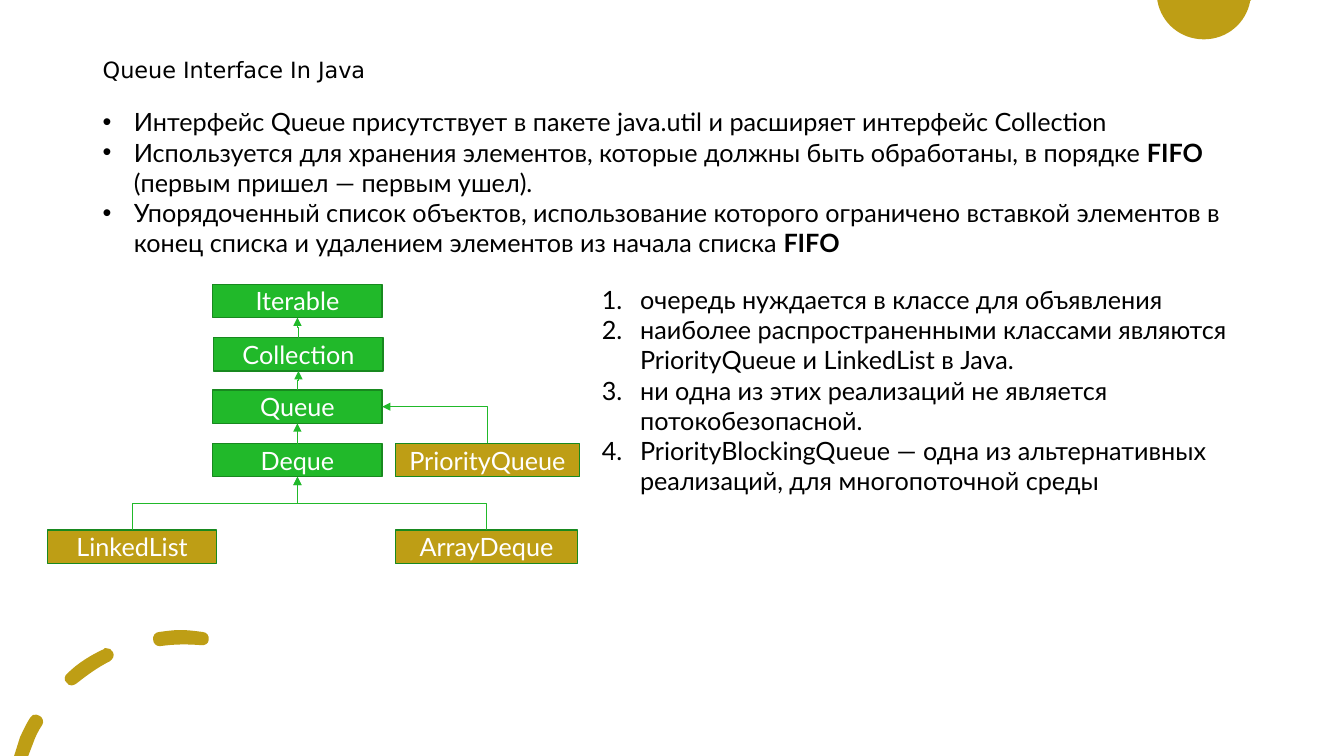
from dataclasses import dataclass

from lxml.etree import SubElement
from pptx import Presentation
from pptx.dml.color import RGBColor
from pptx.enum.shapes import MSO_CONNECTOR, MSO_SHAPE
from pptx.enum.text import MSO_ANCHOR, PP_ALIGN
from pptx.oxml.ns import qn
from pptx.util import Inches, Pt


@dataclass(frozen=True)
class Theme:
    interface: RGBColor = RGBColor.from_string("21B92A")
    border: RGBColor = RGBColor.from_string("18891F")
    accent: RGBColor = RGBColor.from_string("BE9E15")
    ink: RGBColor = RGBColor.from_string("000000")
    label: RGBColor = RGBColor.from_string("FFFFFF")
    title_font: str = "DejaVu Sans"
    body_font: str = "Lato"
    title_size: Pt = Pt(16)
    body_size: Pt = Pt(18)


theme = Theme()
presentation = Presentation()
presentation.slide_width = Inches(13.33)
presentation.slide_height = Inches(7.5)
slide = presentation.slides.add_slide(presentation.slide_layouts[6])


def add_ornament(contours):
    """Fill closed contours: pairs are line ends, sextuples are Bézier curves."""
    builder = None
    for (x, y), *segments in contours:
        if builder is None:
            builder = slide.shapes.build_freeform(Inches(x), Inches(y))
        else:
            builder.move_to(Inches(x), Inches(y))
        ends = [(Inches(segment[-2]), Inches(segment[-1])) for segment in segments]
        builder.add_line_segments(ends, close=True)
    ornament = builder.convert_to_shape()
    ornament.shadow.inherit = False
    ornament.fill.solid()
    ornament.fill.fore_color.rgb = theme.accent
    ornament.line.fill.background()
    # Turn the straight segments that carry control points into curves
    segments = [segment for contour in contours for segment in contour[1:]]
    for line, segment in zip(list(ornament._element.iter(qn("a:lnTo"))), segments):
        if len(segment) == 6:
            line.tag = qn("a:cubicBezTo")
            line.remove(line[0])
            for x, y in zip(segment[::2], segment[1::2]):
                SubElement(line, qn("a:pt"), x=str(Inches(x) - ornament.left),
                           y=str(Inches(y) - ornament.top))


def add_list(left, top, width, height, items, indent, bullet_tag, **bullet):
    """Add a list; each item is a sequence of (text, bold) runs."""
    frame = slide.shapes.add_textbox(
        Inches(left), Inches(top), Inches(width), Inches(height)).text_frame
    frame.word_wrap = True
    for index, item in enumerate(items):
        paragraph = frame.add_paragraph() if index else frame.paragraphs[0]
        properties = paragraph._p.get_or_add_pPr()
        properties.set("marL", str(Inches(indent)))
        properties.set("indent", str(-Inches(indent)))
        if bullet_tag == "a:buChar":
            SubElement(properties, qn("a:buFont"), typeface="Arial")
        SubElement(properties, qn(bullet_tag), **bullet)
        for text, bold in item:
            run = paragraph.add_run()
            run.text = text
            run.font.name = theme.body_font
            run.font.size = theme.body_size
            run.font.bold = bold
            run.font.color.rgb = theme.ink


# Corner ornaments
add_ornament([
    [(11.48, 0), (12.41, 0), (12.4, 0.01), (12.36, 0.23, 12.17, 0.39, 11.94, 0.39),
     (11.71, 0.39, 11.52, 0.23, 11.48, 0.01)],
])
add_ornament([
    [(0.36, 7.09), (0.34, 7.08, 0.31, 7.1, 0.3, 7.12), (0.26, 7.18, 0.23, 7.25, 0.2, 7.31),
     (0.14, 7.5), (0.28, 7.5), (0.33, 7.37), (0.35, 7.31, 0.38, 7.25, 0.42, 7.19),
     (0.44, 7.16, 0.42, 7.11, 0.39, 7.1), (0.38, 7.09, 0.37, 7.09, 0.36, 7.09)],
    [(1.05, 6.43), (1.04, 6.43, 1.03, 6.43, 1.03, 6.44), (0.9, 6.5, 0.77, 6.58, 0.67, 6.68),
     (0.64, 6.7, 0.63, 6.75, 0.66, 6.77), (0.67, 6.79, 0.69, 6.8, 0.71, 6.8),
     (0.73, 6.8, 0.74, 6.79, 0.76, 6.78), (0.86, 6.7, 0.97, 6.62, 1.09, 6.56),
     (1.12, 6.54, 1.14, 6.5, 1.12, 6.47), (1.11, 6.44, 1.08, 6.43, 1.05, 6.43)],
    [(1.79, 6.25), (1.72, 6.25, 1.65, 6.26, 1.58, 6.27), (1.54, 6.27, 1.51, 6.31, 1.52, 6.35),
     (1.52, 6.38, 1.55, 6.41, 1.58, 6.41), (1.59, 6.41, 1.59, 6.41, 1.59, 6.41),
     (1.73, 6.39, 1.86, 6.39, 1.99, 6.4), (2.03, 6.41, 2.07, 6.38, 2.07, 6.35),
     (2.08, 6.31, 2.05, 6.27, 2.01, 6.27), (1.94, 6.26, 1.86, 6.25, 1.79, 6.25)],
])

# Title and introduction
title_frame = slide.shapes.add_textbox(
    Inches(0.92), Inches(0.4), Inches(11.39), Inches(0.61)).text_frame
title_frame.word_wrap = True
title_frame.vertical_anchor = MSO_ANCHOR.MIDDLE
title_frame.paragraphs[0].line_spacing = 0.9
title = title_frame.paragraphs[0].add_run()
title.text = "Queue Interface In Java"
title.font.name = theme.title_font
title.font.size = theme.title_size
title.font.color.rgb = theme.ink

add_list(0.92, 1.01, 11.5, 1.62, [
    [("Интерфейс Queue присутствует в пакете java.util и расширяет интерфейс Collection", False)],
    [("Используется для хранения элементов, которые должны быть обработаны, в порядке ", False),
     ("FIFO", True), (" (первым пришел — первым ушел).", False)],
    [("Упорядоченный список объектов, использование которого ограничено вставкой элементов "
      "в конец списка и удалением элементов из начала списка ", False), ("FIFO", True)],
], 0.31, "a:buChar", char="•")

# Type hierarchy: name, left, top, width, fill
hierarchy = {}
for name, left, top, width, fill in [
    ("Iterable", 2.11, 2.82, 1.68, theme.interface),
    ("Collection", 2.12, 3.35, 1.68, theme.interface),
    ("Queue", 2.11, 3.87, 1.68, theme.interface),
    ("Deque", 2.11, 4.4, 1.68, theme.interface),
    ("PriorityQueue", 3.92, 4.4, 1.83, theme.accent),
    ("LinkedList", 0.47, 5.26, 1.68, theme.accent),
    ("ArrayDeque", 3.92, 5.26, 1.81, theme.accent),
]:
    node = slide.shapes.add_shape(
        MSO_SHAPE.RECTANGLE, Inches(left), Inches(top), Inches(width), Inches(0.33))
    node.shadow.inherit = False
    node.fill.solid()
    node.fill.fore_color.rgb = fill
    node.line.color.rgb = theme.border
    node.line.width = Pt(1)
    node.text_frame.vertical_anchor = MSO_ANCHOR.MIDDLE
    node.text_frame.paragraphs[0].alignment = PP_ALIGN.CENTER
    label = node.text_frame.paragraphs[0].add_run()
    label.text = name
    label.font.name = theme.body_font
    label.font.size = theme.body_size
    label.font.color.rgb = theme.label
    hierarchy[name] = node

# Arrows leave the top of the subtype and enter the given side of the supertype
for subtype, supertype, side in [
    ("LinkedList", "Deque", 2),
    ("PriorityQueue", "Queue", 3),
    ("ArrayDeque", "Deque", 2),
    ("Deque", "Queue", 2),
    ("Queue", "Collection", 2),
    ("Collection", "Iterable", 2),
]:
    arrow = slide.shapes.add_connector(MSO_CONNECTOR.ELBOW, 0, 0, 0, 0)
    arrow.begin_connect(hierarchy[subtype], 0)
    arrow.end_connect(hierarchy[supertype], side)
    across = arrow.end_x - arrow.begin_x
    rise = arrow.begin_y - arrow.end_y
    center_x = (arrow.begin_x + arrow.end_x) // 2
    center_y = (arrow.begin_y + arrow.end_y) // 2
    # A quarter turn makes the first leg run upwards
    arrow.width, arrow.height = rise, abs(across)
    arrow.left, arrow.top = center_x - rise // 2, center_y - abs(across) // 2
    properties = arrow._element.spPr
    transform = properties.find(qn("a:xfrm"))
    transform.set("rot", str(270 * 60000))
    transform.set("flipH", "0")
    transform.set("flipV", "1" if across < 0 else "0")
    if side == 3:
        properties.find(qn("a:prstGeom")).set("prst", "bentConnector2")
    arrow.line.color.rgb = theme.interface
    arrow.line.width = Pt(0.5)
    SubElement(properties.find(qn("a:ln")), qn("a:tailEnd"), type="triangle")
    SubElement(properties, qn("a:effectLst"))

add_list(5.87, 2.77, 7.11, 1.92, [
    [("очередь нуждается в классе для объявления", False)],
    [("наиболее распространенными классами являются PriorityQueue и LinkedList в Java.", False)],
    [("ни одна из этих реализаций не является потокобезопасной.", False)],
    [("PriorityBlockingQueue — одна из альтернативных реализаций, для многопоточной среды", False)],
], 0.38, "a:buAutoNum", type="arabicPeriod")

presentation.save("out.pptx")
